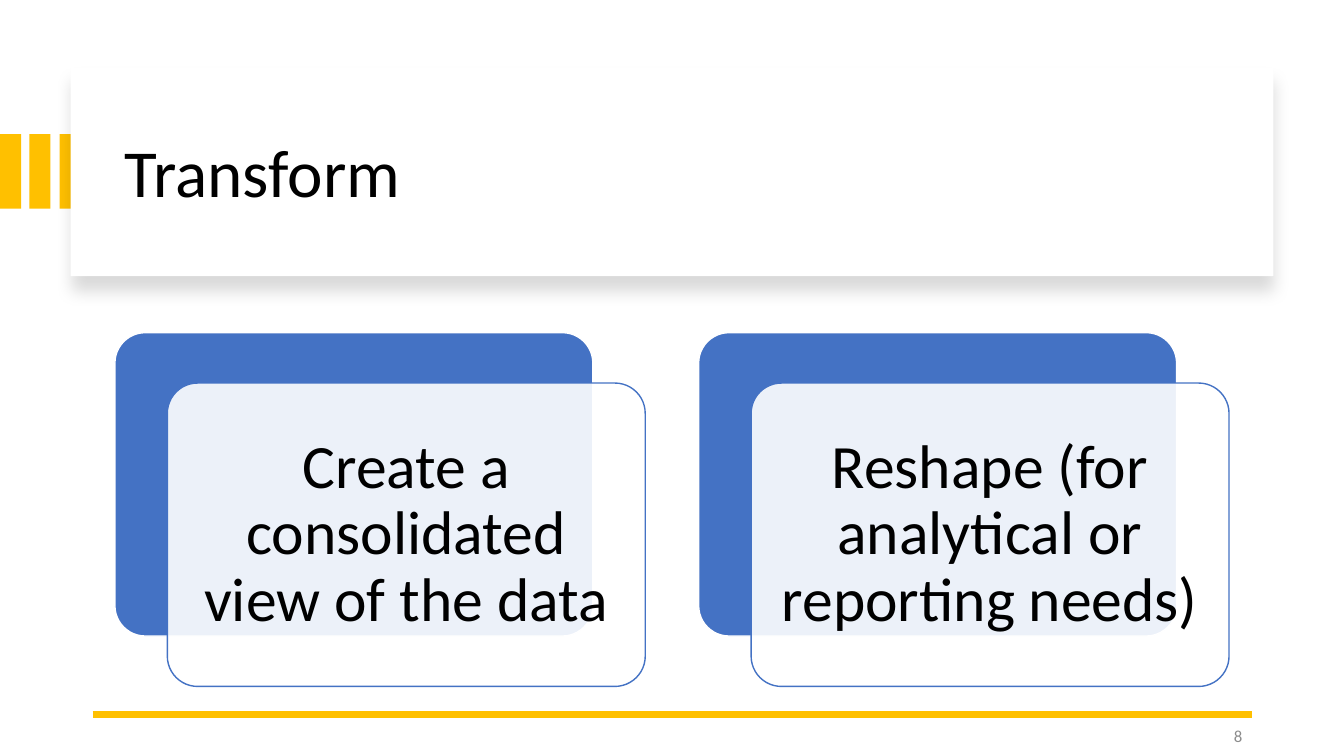
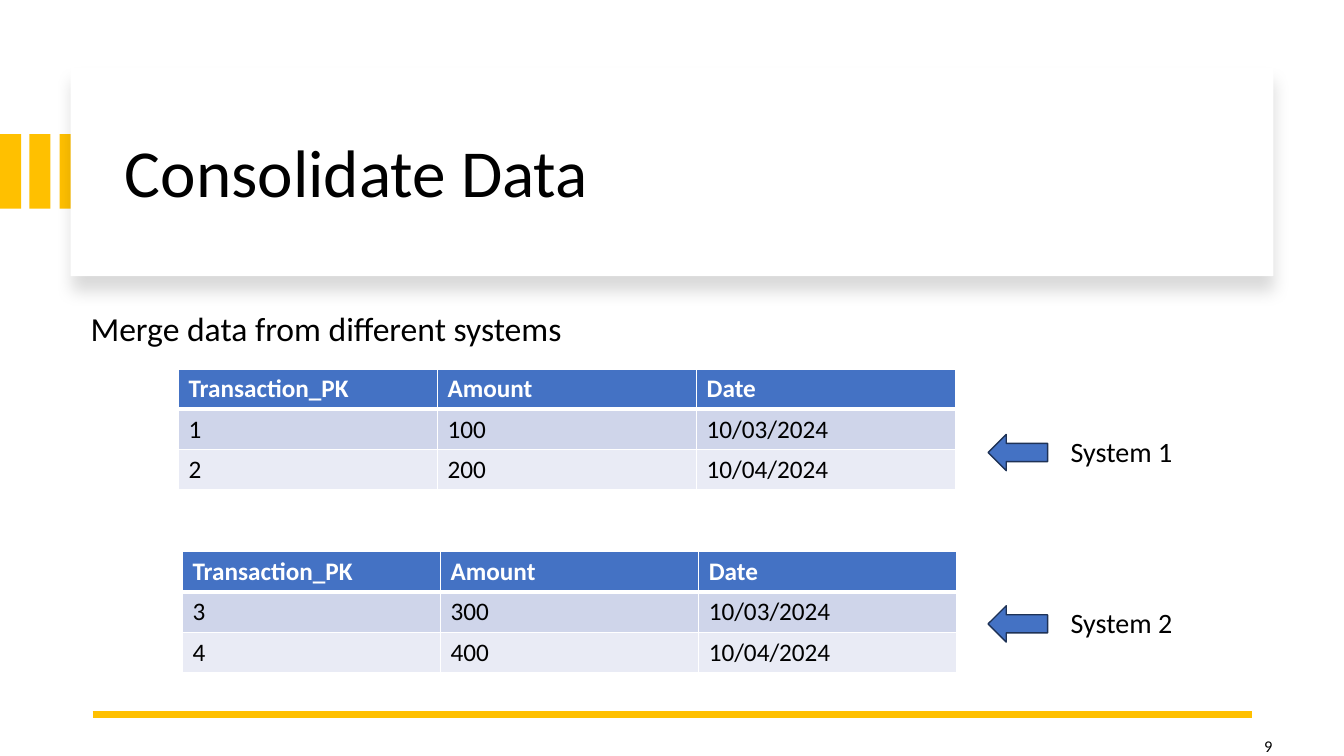
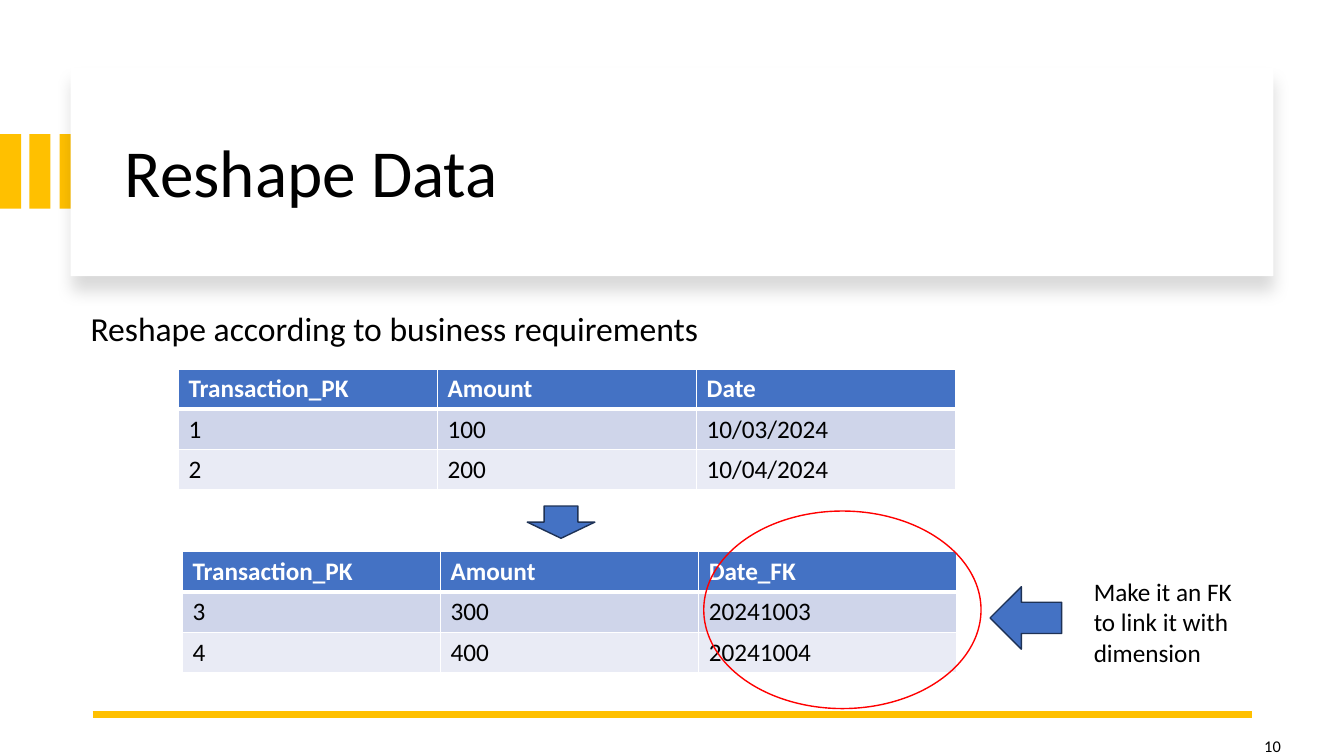
from lxml import etree
from pptx import Presentation
from pptx.dml.color import RGBColor
from pptx.enum import shapes, text
from pptx.oxml import ns
from pptx.util import Emu, Pt

SCALE = 9144  # EMU per px, 100 px to the inch
FONT = "Calibri"
COLORS = {
    "white": "FFFFFF",
    "black": "000000",
    "gold": "FFC000",
    "blue": "4472C4",
    "navy": "1E3256",
    "red": "FF0000",
    "gray": "8C8C8C",
    "odd_row": "CFD5EA",
    "even_row": "E9EBF5",
}


def px(*lengths):
    return [Emu(length * SCALE) for length in lengths]


def rgb(name):
    return RGBColor.from_string(COLORS[name])


def add_xml(parent, tag, **attributes):
    return etree.SubElement(parent, ns.qn(tag), {k: str(v) for k, v in attributes.items()})


def write_text(frame, words, size=18, color="black", bold=False, align="LEFT",
               anchor="TOP", spacing=None, inset=None):
    frame.word_wrap = True
    frame.vertical_anchor = getattr(text.MSO_ANCHOR, anchor)
    if inset is not None:
        margin = px(inset)[0]
        frame.margin_left = frame.margin_right = margin
        frame.margin_top = frame.margin_bottom = margin
    paragraph = frame.paragraphs[0]
    paragraph.alignment = getattr(text.PP_ALIGN, align)
    if spacing:
        paragraph.line_spacing = spacing
    run = paragraph.add_run()
    run.text = words
    run.font.name, run.font.size, run.font.bold = FONT, Pt(size), bold
    run.font.color.rgb = rgb(color)


class Deck:
    def __init__(self):
        self.presentation = Presentation()
        self.presentation.slide_width, self.presentation.slide_height = px(1333, 750)
        self.slide = None

    def new_slide(self, title):
        self.slide = self.presentation.slides.add_slide(self.presentation.slide_layouts[6])
        # Gold bars, partly hidden by the title card
        for i in range(3):
            self.shape("RECTANGLE", 59 * i // 2, 133, 21, 74, fill="gold")
        # Title card with a soft shadow
        card = self.shape("RECTANGLE", 70, 67, 1193, 207, fill="white")
        effects = card._element.spPr.find(ns.qn("a:effectLst"))
        shadow = add_xml(effects, "a:outerShdw", blurRad=Pt(11), dist=Pt(10),
                         dir=90 * 60000, algn="t", rotWithShape=0)
        shade = add_xml(shadow, "a:srgbClr", val=COLORS["black"])
        add_xml(shade, "a:alpha", val=15000)
        self.text(title, 114, 89, 1113, 170, size=48, anchor="MIDDLE", spacing=0.9)
        # Footer rule
        self.line(92, 709, 1242, 709, "gold", 4.5)

    def shape(self, kind, left, top, width, height, fill=None, line=None, opacity=100):
        shape = self.slide.shapes.add_shape(
            getattr(shapes.MSO_SHAPE, kind), *px(left, top, width, height))
        shape.shadow.inherit = False
        if fill:
            shape.fill.solid()
            shape.fill.fore_color.rgb = rgb(fill)
        else:
            shape.fill.background()
        if line:
            shape.line.color.rgb = rgb(line)
            shape.line.width = Pt(1)
        else:
            shape.line.fill.background()
        if opacity < 100:
            fill_color = shape._element.spPr.find("/".join(map(ns.qn, ("a:solidFill", "a:srgbClr"))))
            add_xml(fill_color, "a:alpha", val=opacity * 1000)
        return shape

    def text(self, words, left, top, width, height, **style):
        box = self.slide.shapes.add_textbox(*px(left, top, width, height))
        write_text(box.text_frame, words, **style)

    def line(self, x1, y1, x2, y2, color, weight):
        line = self.slide.shapes.add_connector(
            shapes.MSO_CONNECTOR.STRAIGHT, *px(x1, y1, x2, y2))
        line.line.color.rgb = rgb(color)
        line.line.width = Pt(weight)
        add_xml(line._element.spPr, "a:effectLst")

    def arrow(self, direction, left, top, width, height):
        self.shape(direction + "_ARROW", left, top, width, height, fill="blue", line="navy")

    def layered_card(self, words, left, top):
        width, height = 474, 301
        back = self.shape("ROUNDED_RECTANGLE", left, top, width, height, "blue", "white")
        front = self.shape("ROUNDED_RECTANGLE", left + 52, top + 50, width, height,
                           "white", "blue", opacity=90)
        for layer in (back, front):
            layer.adjustments[0] = 0.1
        write_text(front.text_frame, words, size=44, align="CENTER", anchor="MIDDLE",
                   spacing=0.9, inset=18)

    def table(self, rows, left, top, column_width, row_height=40):
        columns = len(rows[0])
        table = self.slide.shapes.add_table(
            len(rows), columns,
            *px(left, top, column_width * columns, row_height * len(rows))).table
        for column in table.columns:
            column.width = px(column_width)[0]
        for r, row in enumerate(rows):
            table.rows[r].height = px(row_height)[0]
            for c, words in enumerate(row):
                self.cell(table.cell(r, c), words, r)

    def cell(self, cell, words, row):
        header = row == 0
        properties = cell._tc.get_or_add_tcPr()
        # The rule under the header is thicker
        weights = {"L": 1, "R": 1, "T": 3 if row == 1 else 1, "B": 3 if header else 1}
        for side, weight in weights.items():
            border = add_xml(properties, "a:ln" + side, w=Pt(weight))
            add_xml(add_xml(border, "a:solidFill"), "a:srgbClr", val=COLORS["white"])
        cell.fill.solid()
        cell.fill.fore_color.rgb = rgb("blue" if header else "odd_row" if row % 2 else "even_row")
        write_text(cell.text_frame, words, color="white" if header else "black", bold=header)

    def data_slide(self, title, lead, number, second_table):
        self.new_slide(title)
        self.text(lead, 80, 301, 754, 50, size=24)
        self.text(number, 1244, 725, 37, 25, size=11.7)
        self.table(FIRST_SYSTEM, 177, 366, 257)
        self.table(second_table, 181, 547, 256)


HEADER = ("Transaction_PK", "Amount", "Date")
FIRST_SYSTEM = (HEADER, ("1", "100", "10/03/2024"), ("2", "200", "10/04/2024"))
SECOND_SYSTEM = (HEADER, ("3", "300", "10/03/2024"), ("4", "400", "10/04/2024"))
RESHAPED = (("Transaction_PK", "Amount", "Date_FK"),
            ("3", "300", "20241003"), ("4", "400", "20241004"))


def main():
    deck = Deck()

    # Transform
    deck.new_slide("Transform")
    deck.text("8", 942, 710, 300, 40, size=12, color="gray", align="RIGHT", anchor="MIDDLE")
    goals = ("Create a consolidated view of the data",
             "Reshape (for analytical or reporting needs)")
    for i, goal in enumerate(goals):
        deck.layered_card(goal, 114 + 579 * i, 330)

    # Consolidate
    deck.data_slide("Consolidate Data", "Merge data from different systems", "9", SECOND_SYSTEM)
    for label, top in (("System 1", 426), ("System 2", 596)):
        deck.arrow("LEFT", 980, top + 5, 59, 36)
        deck.text(label, 1052, top, 142, 44, size=20)

    # Reshape
    deck.data_slide("Reshape Data", "Reshape according to business requirements", "10", RESHAPED)
    deck.arrow("DOWN", 523, 502, 67, 32)
    deck.shape("OVAL", 698, 507, 275, 196, line="red")
    deck.arrow("LEFT", 982, 582, 71, 62)
    deck.text("Make it an FK to link it with dimension", 1075, 567, 164, 101)

    deck.presentation.save("out.pptx")


if __name__ == "__main__":
    main()
